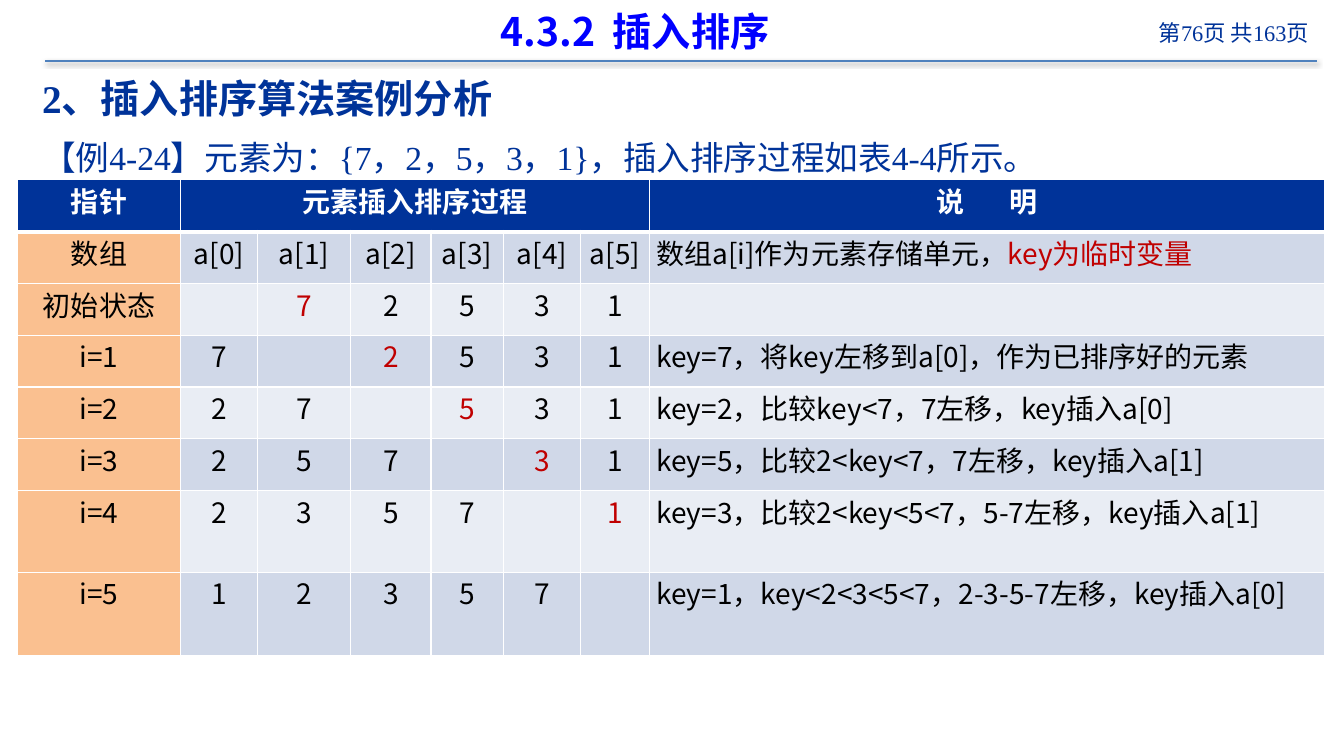
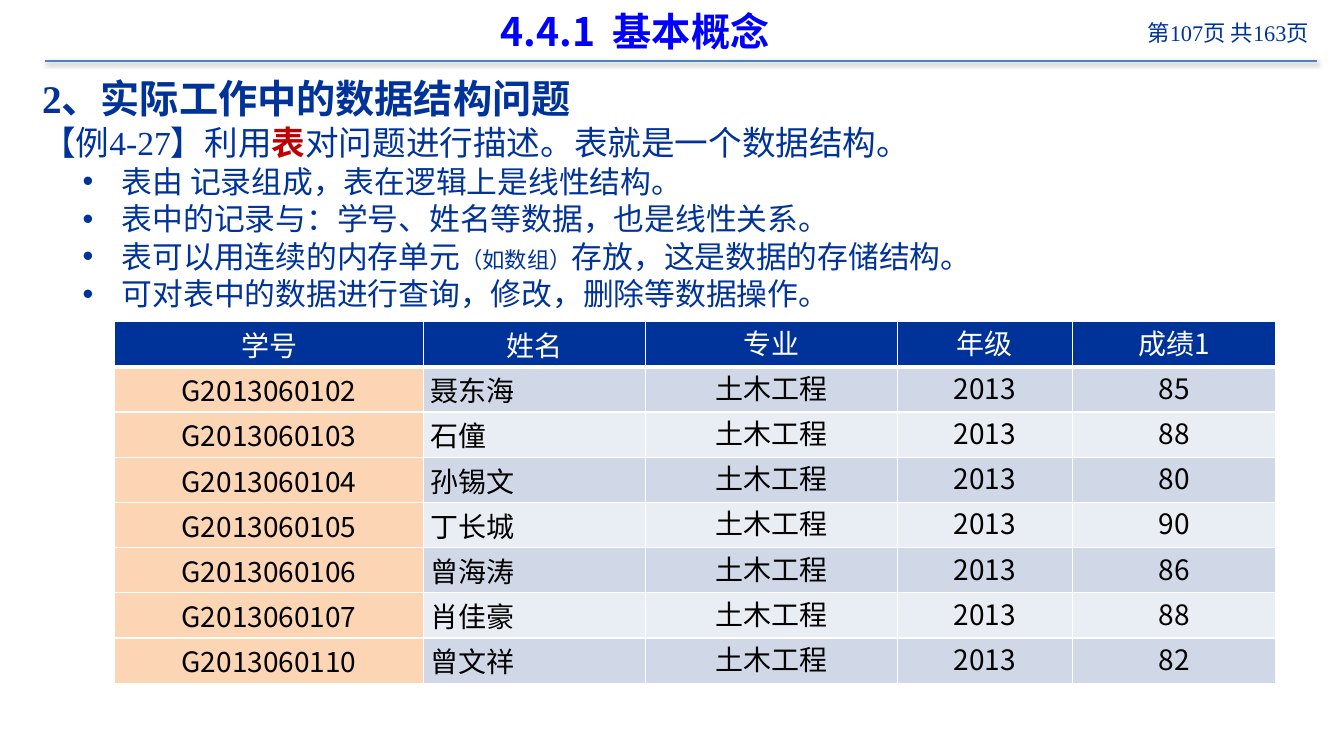
"""Two lecture slides: an insertion sort trace and a student record table."""
import pptx
import pptx.dml.color
import pptx.enum.shapes
import pptx.enum.text
import pptx.util
from lxml import etree
from pptx.oxml.ns import qn

Pt = pptx.util.Pt
RGB = pptx.dml.color.RGBColor
ALIGN = pptx.enum.text.PP_ALIGN
ANCHOR = pptx.enum.text.MSO_ANCHOR

NAVY = RGB(0x00, 0x33, 0x99)
BLUE = RGB(0x00, 0x00, 0xFF)
RULE = RGB(0x4F, 0x81, 0xBD)
RED = RGB(0xC0, 0x00, 0x00)
BLACK = RGB(0x00, 0x00, 0x00)
WHITE = RGB(0xFF, 0xFF, 0xFF)
ORANGE = RGB(0xFA, 0xC0, 0x90)
PEACH = RGB(0xFC, 0xD5, 0xB5)
BANDS = (RGB(0xD0, 0xD8, 0xE8), RGB(0xE9, 0xED, 0xF4))
SANS, SERIF = "Noto Sans CJK SC", "Times New Roman"
PAGES = 163

SORT_HEAD = ("指针", "元素插入排序过程", ("说", "明"))
SORT_WIDTHS = (116.5, 55, 66.5, 57.5, 51.5, 55.5, 49, 482.5)
SORT_HEIGHTS = (37,) * 6 + (58.2, 59.8)
SORT_STEPS = (
    ("初始状态", ("", "7", "2", "5", "3", "1"), ""),
    ("i=1", ("7", "", "2", "5", "3", "1"), "key=7，将key左移到a[0]，作为已排序好的元素"),
    ("i=2", ("2", "7", "", "5", "3", "1"), "key=2，比较key<7，7左移，key插入a[0]"),
    ("i=3", ("2", "5", "7", "", "3", "1"), "key=5，比较2<key<7，7左移，key插入a[1]"),
    ("i=4", ("2", "3", "5", "7", "", "1"), "key=3，比较2<key<5<7，5-7左移，key插入a[1]"),
    ("i=5", ("1", "2", "3", "5", "7", ""), "key=1，key<2<3<5<7，2-3-5-7左移，key插入a[0]"),
)

RECORD_HEAD = ("学号", "姓名", "专业", "年级", "成绩1")
RECORD_WIDTHS = (220.5, 158.5, 180, 125, 145.5)
RECORD_HEIGHTS = (32.3,) * 8
STUDENTS = (
    ("G2013060102", "聂东海", "85"),
    ("G2013060103", "石僮", "88"),
    ("G2013060104", "孙锡文", "80"),
    ("G2013060105", "丁长城", "90"),
    ("G2013060106", "曾海涛", "86"),
    ("G2013060107", "肖佳豪", "88"),
    ("G2013060110", "曾文祥", "82"),
)
EXAMPLE_SORT = [("【例4-24】元素为：{7，2，5，3，1}，插入排序过程如表4-4所示。", {})]
EXAMPLE_TABLE = [
    ("【例4-27】利用", {}),
    ("表", {"color": RED, "bold": True}),
    ("对问题进行描述。表就是一个数据结构。", {}),
]
TABLE_POINTS = (
    [("表由 记录组成，表在逻辑上是线性结构。", {})],
    [("表中的记录与：学号、姓名等数据，也是线性关系。", {})],
    [("表可以用连续的内存单元", {}), ("（如数组）", {"size": 16}), ("存放，这是数据的存储结构。", {})],
    [("可对表中的数据进行查询，修改，删除等数据操作。", {})],
)


def write(p, runs, **base):
    """Fill a paragraph with (text, overrides) runs."""
    for text, extra in runs:
        style = {"font": SANS, "color": BLACK, "bold": False, "spacing": 0, **base, **extra}
        r = p.add_run()
        r.text = text
        r.font.size, r.font.bold, r.font.name = Pt(style["size"]), style["bold"], style["font"]
        r.font.color.rgb = style["color"]
        props = r._r.get_or_add_rPr()
        if style["spacing"]:
            props.set("spc", str(int(style["spacing"] * 100)))
        etree.SubElement(props, qn("a:ea")).set("typeface", SANS)


def add_box(s, left, top, width, height):
    """Add a wrapping text box and return its text frame."""
    tf = s.shapes.add_textbox(Pt(left), Pt(top), Pt(width), Pt(height)).text_frame
    tf.word_wrap = True
    return tf


def add_slide(prs, number, title, page):
    """Add a slide with its title, rule and page number."""
    s = prs.slides.add_slide(prs.slide_layouts[5])
    sp = s.shapes.title
    sp.left, sp.top, sp.width, sp.height = Pt(55.5), Pt(2), Pt(796), Pt(40)
    tf = sp.text_frame
    tf.auto_size = pptx.enum.text.MSO_AUTO_SIZE.NONE
    tf.vertical_anchor = ANCHOR.MIDDLE
    p = tf.paragraphs[0]
    p.alignment = ALIGN.CENTER
    write(p, [(number, {}), (" ", {"spacing": 6.3}), (title, {})], size=28, color=BLUE, bold=True)

    rule = s.shapes.add_connector(
        pptx.enum.shapes.MSO_CONNECTOR.STRAIGHT, Pt(32.5), Pt(43.5), Pt(941), Pt(43.5))
    rule.line.color.rgb, rule.line.width = RULE, Pt(1.5)
    effects = etree.SubElement(rule._element.spPr, qn("a:effectLst"))
    shadow = etree.SubElement(effects, qn("a:outerShdw"), blurRad=str(Pt(3.1)), dist=str(Pt(1.6)),
                              dir="5400000", rotWithShape="0")
    tint = etree.SubElement(shadow, qn("a:srgbClr"), val="000000")
    etree.SubElement(tint, qn("a:alpha"), val="38000")

    p = add_box(s, 779.5, 10, 162.5, 32).paragraphs[0]
    p.alignment = ALIGN.RIGHT
    write(p, [(f"第{page}页 共{PAGES}页", {})], size=16, font=SERIF, color=NAVY)
    return s


def add_body(s, heading, example, gap, points=()):
    """Add the heading, the example sentence and its bullet points."""
    tf = add_box(s, 23, 49.7, 917, 472)
    write(tf.paragraphs[0], [(heading, {})], size=28, font=SERIF, color=NAVY, bold=True)
    for i, runs in enumerate((example, *points)):
        p = tf.add_paragraph()
        p.space_before = Pt(0.3 if i else gap)
        if i:
            props = p._p.get_or_add_pPr()
            props.set("marL", str(Pt(57)))
            props.set("indent", str(Pt(-28)))
            etree.SubElement(props, qn("a:buFont"), typeface="Arial")
            etree.SubElement(props, qn("a:buChar"), char="•")
        write(p, runs, size=22 if i else 24, font=SERIF, color=NAVY)


def add_grid(s, left, top, widths, heights, key_fill):
    """Add an empty banded table with white borders."""
    table = s.shapes.add_table(len(heights), len(widths), Pt(left), Pt(top),
                               Pt(sum(widths)), Pt(sum(heights))).table
    for col, width in zip(table.columns, widths):
        col.width = Pt(width)
    for i, (row, height) in enumerate(zip(table.rows, heights)):
        row.height = Pt(height)
        for j, cell in enumerate(row.cells):
            cell.margin_left = cell.margin_right = Pt(5)
            cell.margin_top = cell.margin_bottom = 0
            props = cell._tc.get_or_add_tcPr()
            for side in "LRTB":
                thick = (i, side) in ((0, "B"), (1, "T"))
                ln = etree.SubElement(props, qn(f"a:ln{side}"), w=str(Pt(3 if thick else 1)))
                fill = etree.SubElement(ln, qn("a:solidFill"))
                etree.SubElement(fill, qn("a:srgbClr"), val=str(WHITE))
            cell.fill.solid()
            cell.fill.fore_color.rgb = NAVY if i == 0 else key_fill if j == 0 else BANDS[(i - 1) % 2]
    return table


def set_cell(cell, runs, align=ALIGN.CENTER, **style):
    """Write one table cell; runs may be plain text."""
    if runs:
        p = cell.text_frame.paragraphs[0]
        p.alignment = align
        write(p, [(runs, {})] if isinstance(runs, str) else runs, size=20, **style)


def add_sort_table(s):
    """Add the trace; each step leaves one gap and marks the next key."""
    table = add_grid(s, 12.5, 128.5, SORT_WIDTHS, SORT_HEIGHTS, ORANGE)
    last = len(SORT_WIDTHS) - 1
    table.cell(0, 1).merge(table.cell(0, last - 1))
    pointer, process, (first, second) = SORT_HEAD
    note = [(first, {}), (" ", {"spacing": 27}), (second, {})]
    for j, runs in zip((0, 1, last), (pointer, process, note)):
        set_cell(table.cell(0, j), runs, color=WHITE, bold=True)
    set_cell(table.cell(1, 0), "数组")
    for j in range(1, last):
        set_cell(table.cell(1, j), f"a[{j - 1}]")
    set_cell(table.cell(1, last), [("数组a[i]作为元素存储单元，", {}), ("key为临时变量", {"color": RED})],
             ALIGN.LEFT)
    for step, (label, values, text) in enumerate(SORT_STEPS):
        i = step + 2
        set_cell(table.cell(i, 0), label)
        for j, value in enumerate(values):
            set_cell(table.cell(i, j + 1), value, color=RED if j == step + 1 else BLACK)
        final = step == len(SORT_STEPS) - 1
        set_cell(table.cell(i, last), text, ALIGN.JUSTIFY if final else ALIGN.LEFT)


def add_record_table(s):
    """Add the student records."""
    table = add_grid(s, 82, 229.7, RECORD_WIDTHS, RECORD_HEIGHTS, PEACH)
    records = [(code, name, "土木工程", "2013", score) for code, name, score in STUDENTS]
    for i, record in enumerate((RECORD_HEAD, *records)):
        for j, text in enumerate(record):
            cell = table.cell(i, j)
            if j < 2:
                cell.vertical_anchor = ANCHOR.MIDDLE
            set_cell(cell, text, ALIGN.LEFT if i and j == 1 else ALIGN.CENTER,
                     color=BLACK if i else WHITE)


def main():
    """Build and save the deck."""
    prs = pptx.Presentation()
    prs.slide_width, prs.slide_height = Pt(960), Pt(540)
    s = add_slide(prs, "4.3.2", "插入排序", 76)
    add_body(s, "2、插入排序算法案例分析", EXAMPLE_SORT, 11)
    add_sort_table(s)
    s = add_slide(prs, "4.4.1", "基本概念", 107)
    add_body(s, "2、实际工作中的数据结构问题", EXAMPLE_TABLE, 0.3, TABLE_POINTS)
    add_record_table(s)
    prs.save("out.pptx")


if __name__ == "__main__":
    main()
